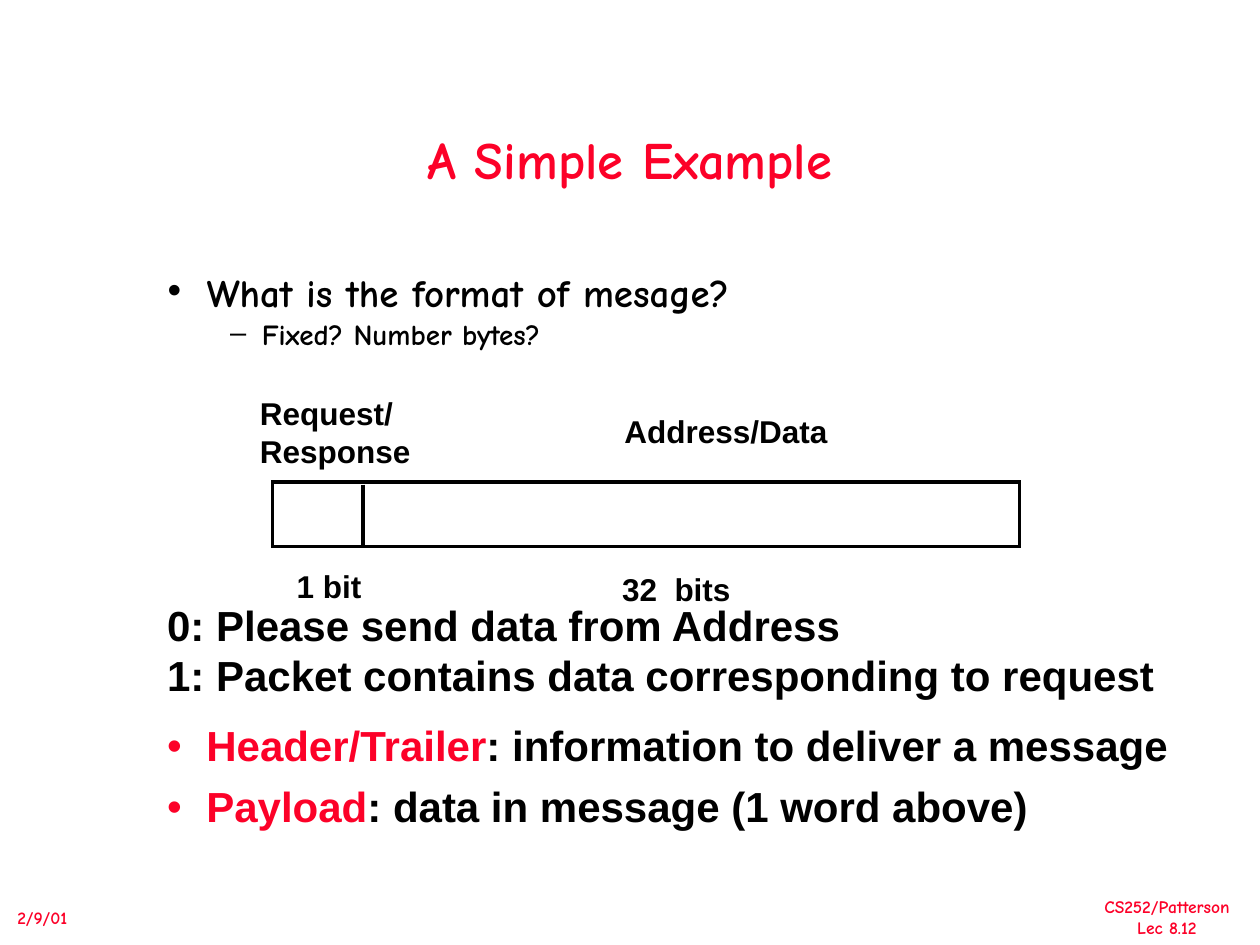
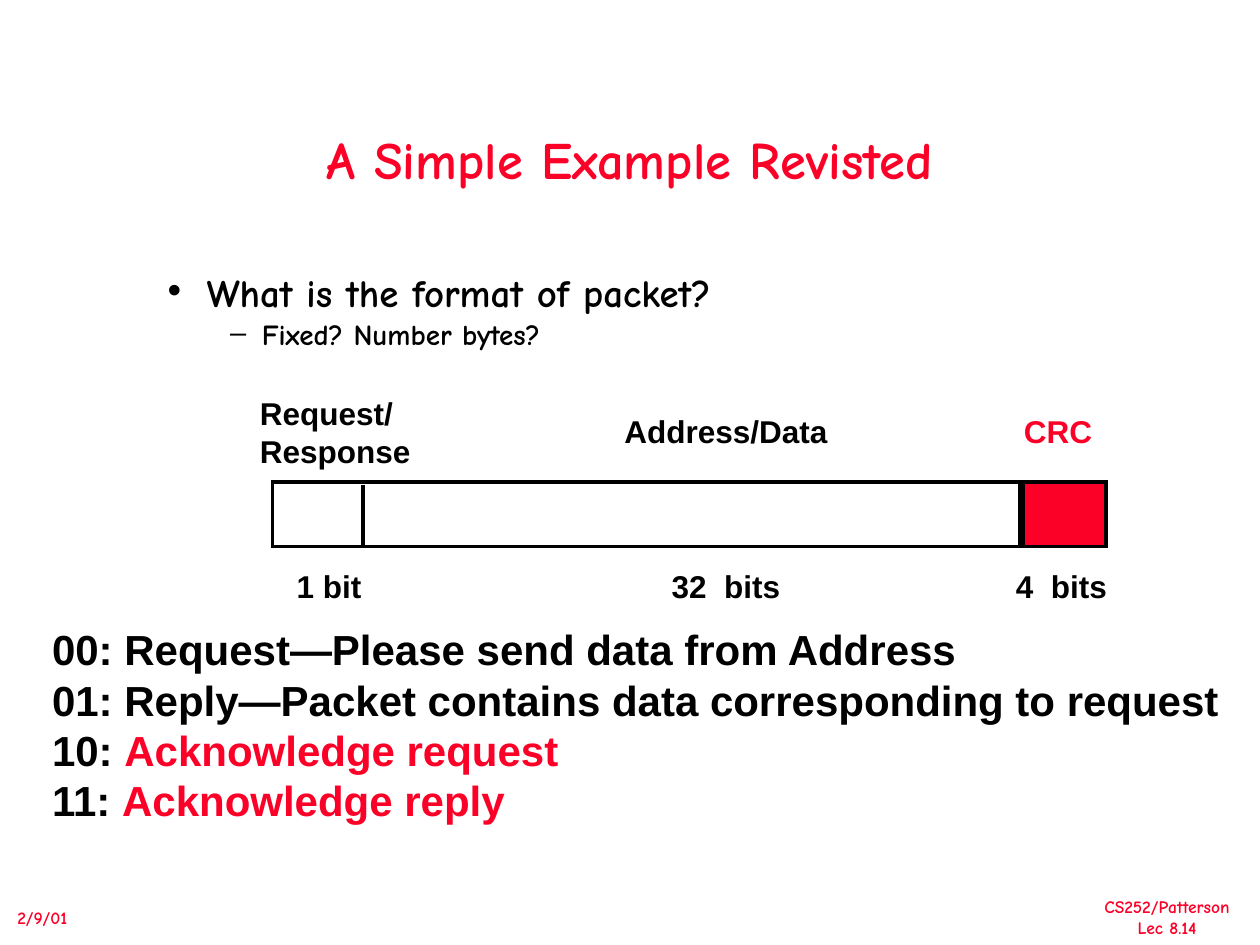
"""Build two slides on the message format of a simple network example."""
from collections import namedtuple

from lxml import etree
from pptx import Presentation
from pptx.dml.color import RGBColor
from pptx.enum import shapes, text
from pptx.oxml.ns import qn
from pptx.util import Cm, Pt

COLORS = {"red": "FC0128", "black": "000000", "white": "FFFFFF"}
LEFT, CENTER = text.PP_ALIGN.LEFT, text.PP_ALIGN.CENTER

Style = namedtuple(
    "Style", "size face align spacing before bullet indent hanging",
    defaults=("Arial", LEFT, 1.0, 0, "", 0, 0))
STYLES = {
    "title": Style(30, "Comic Neue", CENTER, 0.9),
    "date": Style(10, "Comic Neue"),
    "footer": Style(10, "Comic Neue", CENTER),
    "question": Style(22.2, "Comic Neue", LEFT, 0.7, 9, "•", 0.79, 0.79),
    "detail": Style(16.6, "Comic Neue", LEFT, 0.7, 6.8, "–", 1.9, 0.64),
    "label": Style(18),
    "code": Style(24),
    "term": Style(24, "Arial", LEFT, 0.9, 9, "•", 0.79, 0.79),
}

LABEL_TOP, BAR_TOP, BITS_TOP = 8.18, 9.72, 11.3
BAR_HEIGHT, LABEL_HEIGHT = 1.3, 1.02


def write_lines(frame, lines):
    """Fill a text frame with (style name, (text, color), ...) lines."""
    frame.word_wrap = True
    frame.auto_size = text.MSO_AUTO_SIZE.NONE
    for index, (style_name, *runs) in enumerate(lines):
        style = STYLES[style_name]
        paragraph = frame.paragraphs[0] if index == 0 else frame.add_paragraph()
        paragraph.alignment = style.align
        paragraph.line_spacing = style.spacing
        paragraph.space_before = Pt(style.before)
        if style.bullet:
            paragraph.level = 1 if style_name == "detail" else 0
            properties = paragraph._p.get_or_add_pPr()
            properties.set("marL", str(Cm(style.indent)))
            properties.set("indent", str(-Cm(style.hanging)))
            bullet_color = etree.SubElement(properties, qn("a:buClr"))
            etree.SubElement(bullet_color, qn("a:srgbClr"), val=COLORS[runs[0][1]])
            etree.SubElement(properties, qn("a:buFont"), typeface="Arial")
            etree.SubElement(properties, qn("a:buChar"), char=style.bullet)
        paragraph.font.size = Pt(style.size)
        paragraph.font.name = style.face
        paragraph.font.bold = True
        for words, color in runs:
            run = paragraph.add_run()
            run.text = words
            run.font.color.rgb = RGBColor.from_string(COLORS[color])


def add_text(slide, box, *lines):
    """Add a text box at (left, top, width, height) in centimetres."""
    write_lines(slide.shapes.add_textbox(*map(Cm, box)).text_frame, lines)


presentation = Presentation()
presentation.slide_width, presentation.slide_height = Cm(25.4), Cm(19.05)

message_field = (5.49, 15.06, "white")
crc_field = (20.62, 1.68, "red")
pages = [
    {
        "title": "A Simple Example", "subject": "mesage", "number": "8.12",
        "fields": [message_field],
        "labels": [("32  bits", 12.29, 11.36, 3, "black")],
        "texts": [
            ((3.12, 11.96, 21, 2.29),
             ("code", ("0: Please send data from Address", "black")),
             ("code", ("1: Packet contains data corresponding to request", "black"))),
            ((3.12, 14.5, 21.44, 1.63),
             ("term", ("Header/Trailer", "red"),
              (": information to deliver a message", "black")),
             ("term", ("Payload", "red"),
              (": data in message (1 word above)", "black"))),
        ],
    },
    {
        "title": "A Simple Example Revisted", "subject": "packet", "number": "8.14",
        "fields": [message_field, crc_field],
        "labels": [
            ("32  bits", 13.29, BITS_TOP, 3, "black"),
            ("4  bits", 20.23, BITS_TOP, 2.6, "black"),
            ("CRC", 20.39, LABEL_TOP, 2.2, "red"),
        ],
        "texts": [
            ((0.8, 12.45, 24.4, 4.32),
             ("code", ("00: Request—Please send data from Address", "black")),
             ("code", ("01: Reply—Packet contains data corresponding to request", "black")),
             ("code", ("10: ", "black"), ("Acknowledge request", "red")),
             ("code", ("11: ", "black"), ("Acknowledge reply", "red"))),
        ],
    },
]
shared_labels = [
    ("Address/Data", 12.34, LABEL_TOP, 5, "black"),
    ("1 bit", 5.73, BITS_TOP, 2.2, "black"),
]

for page in pages:
    slide = presentation.slides.add_slide(presentation.slide_layouts[5])

    title = slide.shapes.title
    title.left, title.top, title.width, title.height = map(Cm, (2.75, 1.68, 19.89, 3.18))
    title.text_frame.vertical_anchor = text.MSO_ANCHOR.MIDDLE
    write_lines(title.text_frame, [("title", (page["title"], "red"))])

    add_text(slide, (21.8, 17.94, 3.45, 1.09),
             ("footer", ("CS252/Patterson", "red")),
             ("footer", (f"Lec {page['number']}", "red")))
    add_text(slide, (0.1, 18.16, 2, 0.69), ("date", ("2/9/01", "red")))

    add_text(slide, (3.13, 5.54, 17.93, 1.63),
             ("question", (f"What is the format of {page['subject']}?", "black")),
             ("detail", ("Fixed? Number bytes?", "black")))

    for left, width, color in page["fields"]:
        field = slide.shapes.add_shape(
            shapes.MSO_SHAPE.RECTANGLE, Cm(left), Cm(BAR_TOP), Cm(width), Cm(BAR_HEIGHT))
        field.shadow.inherit = False
        field.fill.solid()
        field.fill.fore_color.rgb = RGBColor.from_string(COLORS[color])
        field.line.color.rgb = RGBColor.from_string(COLORS["black"])
        field.line.width = Pt(2)
        etree.SubElement(field.line._get_or_add_ln(), qn("a:miter"), lim="800000")

    divider = slide.shapes.add_connector(
        shapes.MSO_CONNECTOR.STRAIGHT,
        Cm(7.32), Cm(BAR_TOP + 0.05), Cm(7.32), Cm(BAR_TOP + BAR_HEIGHT))
    divider.line.color.rgb = RGBColor.from_string(COLORS["black"])
    divider.line.width = Pt(2)
    etree.SubElement(divider._element.spPr, qn("a:effectLst"))

    add_text(slide, (4.99, 7.82, 4, 1.78),
             ("label", ("Request/", "black")), ("label", ("Response", "black")))
    for words, left, top, width, color in shared_labels + page["labels"]:
        add_text(slide, (left, top, width, LABEL_HEIGHT), ("label", (words, color)))

    for box, *lines in page["texts"]:
        add_text(slide, box, *lines)

presentation.save("out.pptx")
